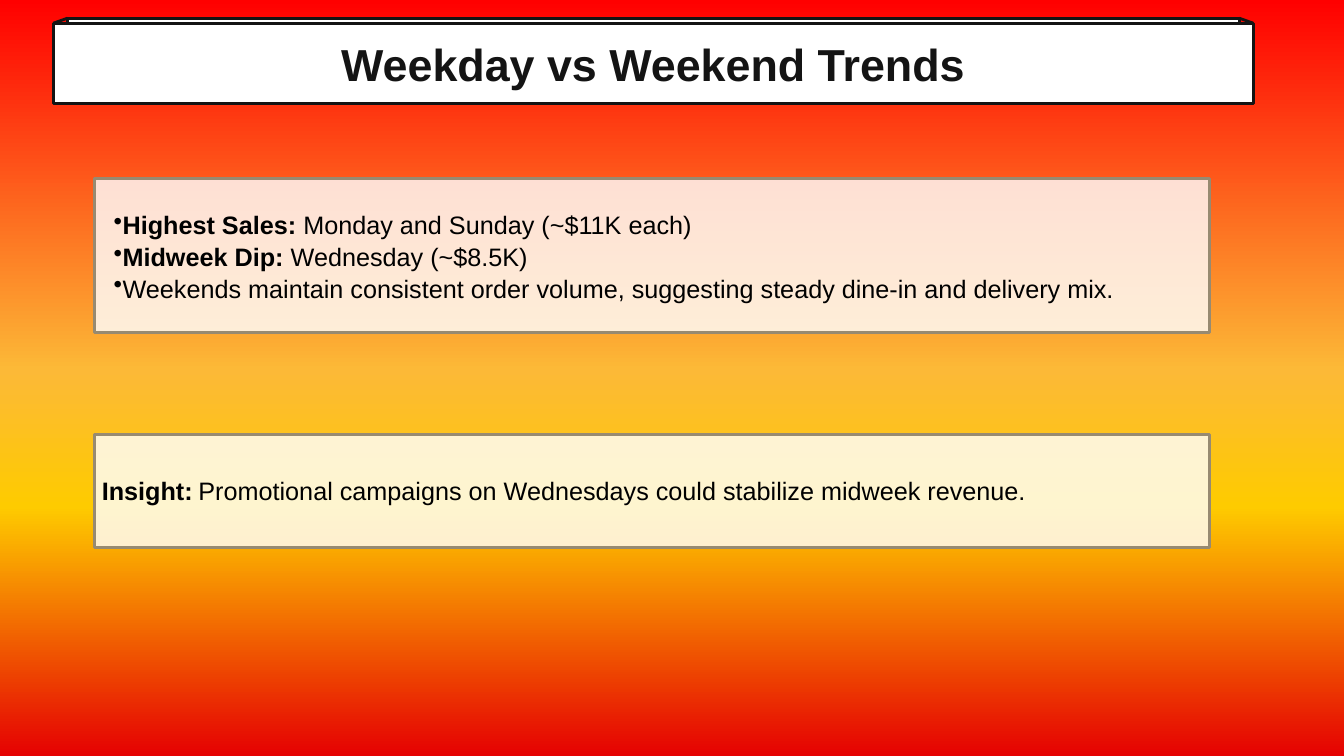
from lxml import etree
from pptx import Presentation
from pptx.dml.color import RGBColor
from pptx.enum import shapes, text
from pptx.oxml import ns
from pptx.util import Inches, Pt

INK, BLACK, WHITE, TAUPE = "141414", "000000", "FFFFFF", "978A71"
SUNSET = [(0, "FF0000"), (49, "FCB937"), (67, "FECB00"), (100, "E50102")]
TRENDS = [
    [("Highest Sales:", True), (" Monday and Sunday (~$11K each)", False)],
    [("Midweek Dip:", True), (" Wednesday (~$8.5K)", False)],
    [("Weekends maintain consistent order volume, suggesting steady "
      "dine-in and delivery mix.", False)],
]
INSIGHT = "Promotional campaigns on Wednesdays could stabilize midweek revenue."


def colour(value):
    """Turn a hex string into a colour."""
    return RGBColor.from_string(value)


def add_child(parent, tag, **attributes):
    """Append a drawing element to a parent element."""
    return etree.SubElement(parent, ns.qn(tag), **attributes)


def paint_background(page):
    """Fill the page with the vertical sunset gradient."""
    fill = page.background.fill
    fill.gradient()
    fill.gradient_angle = 270
    stops = page.element.find(".//" + ns.qn("a:gsLst"))
    for stop in list(stops):
        stops.remove(stop)
    for position, value in SUNSET:
        stop = add_child(stops, "a:gs", pos=str(position * 1000))
        add_child(stop, "a:srgbClr", val=value)


def add_panel(page, left, top, width, height, edge, opacity=100):
    """Add a white outlined rectangle."""
    panel = page.shapes.add_shape(shapes.MSO_SHAPE.RECTANGLE, Inches(left),
                                  Inches(top), Inches(width), Inches(height))
    panel.shadow.inherit = False
    panel.fill.solid()
    panel.fill.fore_color.rgb = colour(WHITE)
    if opacity < 100:
        tint = panel.element.spPr.find(ns.qn("a:solidFill"))[0]
        add_child(tint, "a:alpha", val=str(opacity * 1000))
    panel.line.color.rgb = colour(edge)
    panel.line.width = Pt(2)
    return panel


def add_edge(page, start, end):
    """Add a straight ink line between two points."""
    edge = page.shapes.add_connector(shapes.MSO_CONNECTOR.STRAIGHT,
                                     *map(Inches, start + end))
    edge.line.color.rgb = colour(INK)
    edge.line.width = Pt(2)
    add_child(edge.element.spPr, "a:effectLst")


def add_span(para, words, size=18, bold=False, ink=BLACK):
    """Add one run of Arial text to a paragraph."""
    span = para.add_run()
    span.text = words
    span.font.name = "Arial"
    span.font.size = Pt(size)
    span.font.bold = bold
    span.font.color.rgb = colour(ink)


def add_text_frame(page, left, top, width, height):
    """Add a wrapping text box and return its frame."""
    box = page.shapes.add_textbox(Inches(left), Inches(top),
                                  Inches(width), Inches(height))
    box.text_frame.word_wrap = True
    return box.text_frame


def add_banner(page, left, top, width, height):
    """Build the raised title banner and put the title on its face."""
    depth, inset = 0.05, 0.14
    right = left + width
    add_panel(page, left + inset, top, width - 2 * inset, height, INK)
    add_panel(page, left, top + depth, width, height, INK)
    add_edge(page, (right - inset, top), (right, top + depth))
    add_edge(page, (left + inset, top), (left, top + depth))

    title = page.shapes.title
    title.left, title.top = Inches(left), Inches(top + depth)
    title.width, title.height = Inches(width), Inches(height)
    title.element.getparent().append(title.element)
    title.text_frame.vertical_anchor = text.MSO_ANCHOR.MIDDLE
    para = title.text_frame.paragraphs[0]
    para.alignment = text.PP_ALIGN.CENTER
    add_span(para, "Weekday vs Weekend Trends", 32, True, INK)


def add_trends(page, left, top, width, height):
    """Build the panel with the bulleted trends."""
    add_panel(page, left, top, width, height, TAUPE, 81)
    frame = add_text_frame(page, left + 0.09, top, width - 0.09, height)
    frame.vertical_anchor = text.MSO_ANCHOR.MIDDLE
    for index, spans in enumerate(TRENDS):
        para = frame.add_paragraph() if index else frame.paragraphs[0]
        para.line_spacing = 1.05
        add_child(para._p.get_or_add_pPr(), "a:buChar", char="•")
        for words, bold in spans:
            add_span(para, words, bold=bold)


def add_insight(page, left, top, width, height):
    """Build the panel with the insight label and its sentence."""
    panel = add_panel(page, left, top, width, height, TAUPE, 81)
    frame = panel.text_frame
    frame.margin_left = frame.margin_right = Inches(0.07)
    frame.vertical_anchor = text.MSO_ANCHOR.MIDDLE
    label = frame.paragraphs[0]
    label.alignment = text.PP_ALIGN.JUSTIFY
    add_span(label, "Insight: ", bold=True)
    sentence = add_text_frame(page, left + 0.93, top + 0.36, 8.46, 0.4)
    add_span(sentence.paragraphs[0], INSIGHT)


def main():
    """Build the slide and save the deck."""
    deck = Presentation()
    deck.slide_width, deck.slide_height = Inches(13.33), Inches(7.5)
    page = deck.slides.add_slide(deck.slide_layouts[5])
    paint_background(page)
    add_banner(page, 0.53, 0.18, 11.9, 0.8)
    add_trends(page, 0.94, 1.77, 11.06, 1.53)
    add_insight(page, 0.94, 4.31, 11.06, 1.12)
    deck.save("out.pptx")


if __name__ == "__main__":
    main()
